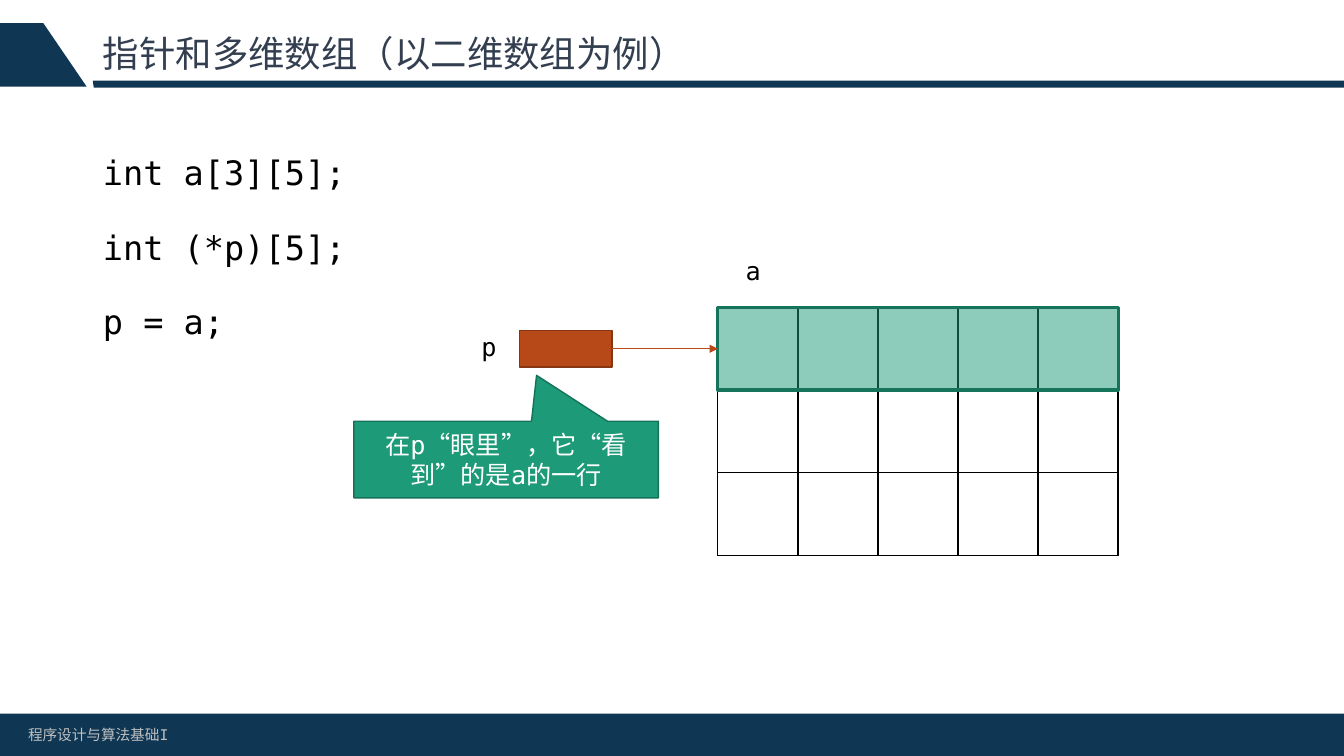
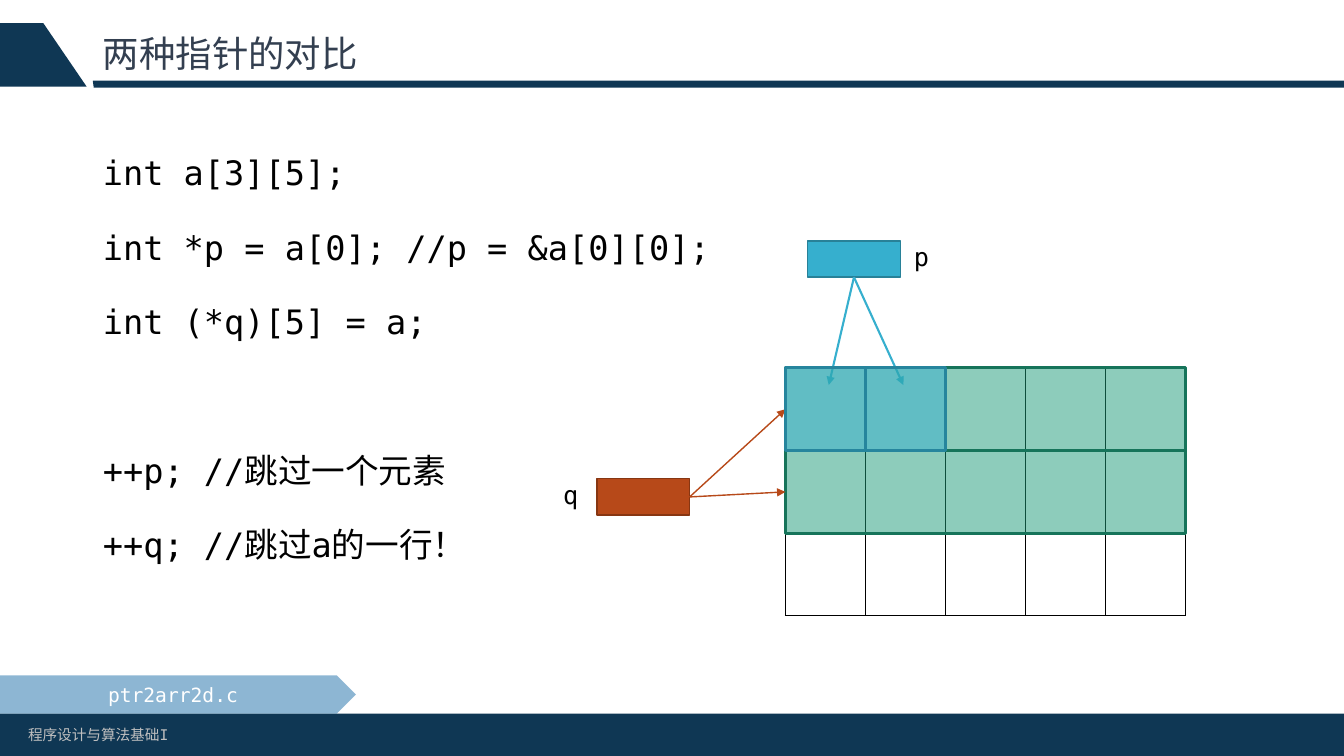
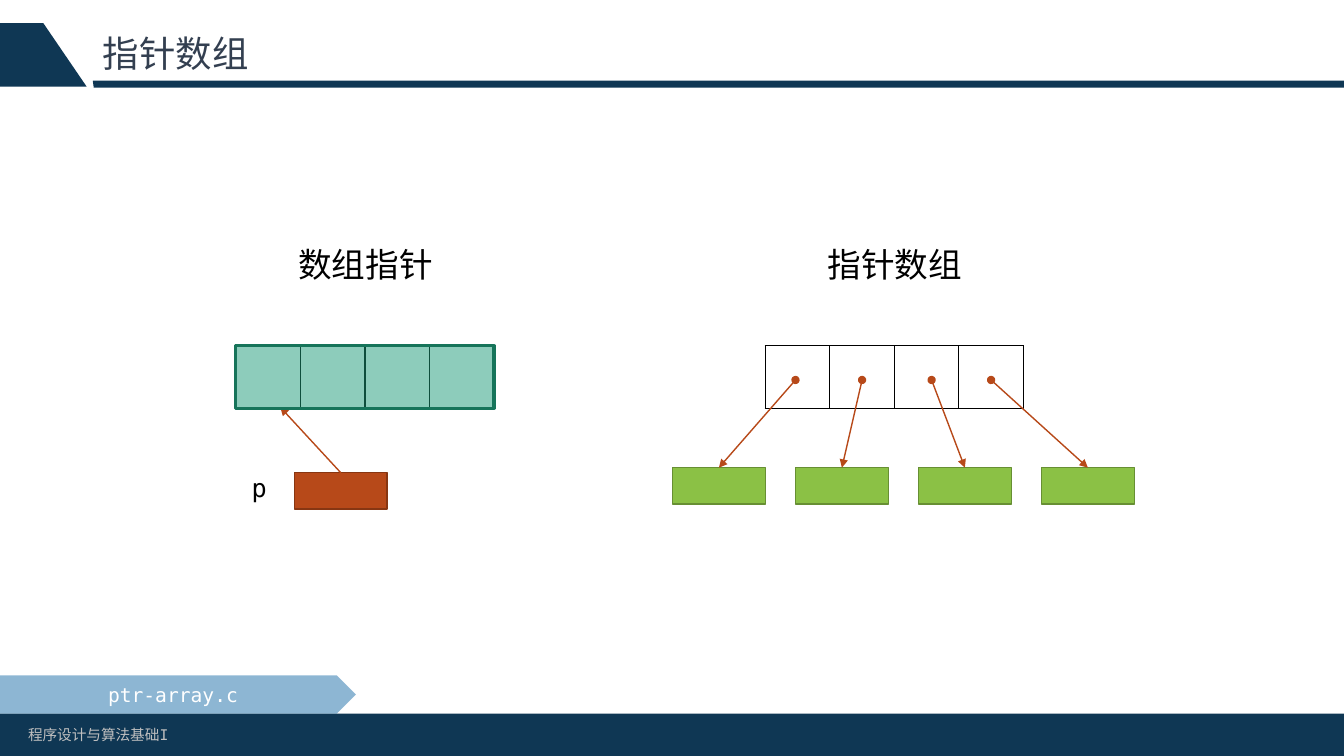
"""Three slides on pointers and two-dimensional arrays in C."""
from lxml import etree
from pptx import Presentation, util as u
from pptx.dml.color import RGBColor
from pptx.enum import lang, shapes, text
from pptx.oxml import ns

WIDE, HIGH = 13.33, 7.5
EDGE = 0.92
FONT = "DejaVu Sans Mono"
HUE = {
    "navy": "0F3754", "title": "333F50", "grey": "BFBFBF", "black": "000000", "white": "FFFFFF",
    "rust": "B74919", "umber": "873612", "teal": "1D9A78", "pine": "16745A", "moss": "157259",
    "sky": "36AFCE", "sea": "288198", "deep": "26859D", "lime": "8BC141", "olive": "678F33",
    "blue": "1D6FA9",
}
HUE["lime"] = "8BC145"
FOOT = "程序设计与算法基础I"
PAGES = [
    ("指针和多维数组（以二维数组为例）", ["int a[3][5];", "int (*p)[5];", "p = a;"], None),
    ("两种指针的对比",
     ["int a[3][5];", "int *p = a[0]; //p = &a[0][0];", "int (*q)[5] = a;",
      "++p; //跳过一个元素", "++q; //跳过a的一行！"], "ptr2arr2d.c"),
    ("指针数组", [], "ptr-array.c"),
]
GAPS = {"++p; //跳过一个元素": 63}
NOTE = "在p“眼里”，它“看到”的是a的一行"
HEADS = ["数组指针", "指针数组"]
DOTS = [7.89, 8.55, 9.24, 9.83]
CELL_W, CELL_H = 0.794, 0.82
SLOT_W, SLOT_H = 0.64, 0.62
BOX_W, BOX_H = 0.92, 0.36
LEFT, MID = text.PP_ALIGN.LEFT, text.PP_ALIGN.CENTER
RECT = shapes.MSO_SHAPE.RECTANGLE


def inch(*nums):
    return [u.Inches(n) for n in nums]


def tint(fill, hue, alpha=None):
    fill.solid()
    fill.fore_color.rgb = RGBColor.from_string(HUE[hue])
    if alpha:
        clr = next(fill._xPr.iter(ns.qn("a:srgbClr")))
        etree.SubElement(clr, ns.qn("a:alpha")).set("val", str(alpha * 1000))


def write(para, words, size, hue, align=LEFT):
    para.alignment = align
    run = para.add_run()
    run.text = words
    run.font.name, run.font.size = FONT, u.Pt(size)
    run.font.language_id = lang.MSO_LANGUAGE_ID.SIMPLIFIED_CHINESE
    run.font.color.rgb = RGBColor.from_string(HUE[hue])


def style(shape, fill, line=None, width=1, alpha=None):
    shape.shadow.inherit = False
    tint(shape.fill, fill, alpha)
    if line:
        tint(shape.line.fill, line)
        shape.line.width = u.Pt(width)
    else:
        shape.line.fill.background()
    return shape


def block(slide, at, fill, line=None, width=1, alpha=None, kind=RECT):
    return style(slide.shapes.add_shape(kind, *inch(*at)), fill, line, width, alpha)


def box(slide, left, top, fill="rust", line="umber"):
    return block(slide, (left, top, BOX_W, BOX_H), fill, line)


def band(slide, at, fill="teal", line="pine"):
    return block(slide, at, fill, line, 2.25, 50)


def label(slide, words, at, size=18, hue="black", align=MID):
    frame = slide.shapes.add_textbox(*inch(*at)).text_frame
    frame.word_wrap = True
    write(frame.paragraphs[0], words, size, hue, align)


def inside(shape, words, size):
    shape.text_frame.word_wrap = True
    shape.text_frame.vertical_anchor = text.MSO_ANCHOR.MIDDLE
    write(shape.text_frame.paragraphs[0], words, size, "white", MID)


def link(slide, start, end, hue="rust", width=1, head=None):
    """Draw an arrow; each end is a point or a (shape, side) pair."""
    points = [p if isinstance(p[0], (int, float)) else (0, 0) for p in (start, end)]
    wire = slide.shapes.add_connector(
        shapes.MSO_CONNECTOR.STRAIGHT, *inch(*points[0], *points[1]))
    for place, join in ((start, wire.begin_connect), (end, wire.end_connect)):
        if not isinstance(place[0], (int, float)):
            join(*place)
    tint(wire.line.fill, hue)
    wire.line.width = u.Pt(width)
    line = wire.line._get_or_add_ln()
    for tag, tip in (("a:headEnd", head), ("a:tailEnd", "triangle")):
        if tip:
            etree.SubElement(line, ns.qn(tag)).set("type", tip)
    etree.SubElement(wire._element.spPr, ns.qn("a:effectLst"))


def grid(slide, left, top, cols, rows, wide, high):
    table = slide.shapes.add_table(
        rows, cols, *inch(left, top, cols * wide, rows * high)).table
    table.first_row = table.horz_banding = False
    for cell in table.iter_cells():
        cell.fill.background()
        props = cell._tc.get_or_add_tcPr()
        for spot, side in enumerate(("lnL", "lnR", "lnT", "lnB")):
            line = etree.Element(ns.qn("a:" + side), w="12700")
            fill = etree.SubElement(line, ns.qn("a:solidFill"))
            etree.SubElement(fill, ns.qn("a:srgbClr"), val=HUE["black"])
            props.insert(spot, line)


def free(slide, points):
    first, *rest = [inch(*p) for p in points]
    pen = slide.shapes.build_freeform(*first, scale=1.0)
    pen.add_line_segments(rest, close=True)
    style(pen.convert_to_shape(), "navy")


def setup(deck, layout):
    """Give the layout its bands, footer and placeholder places."""
    for hold in list(layout.placeholders)[2:]:
        hold.element.getparent().remove(hold.element)
    places = [(EDGE, 0.23, 11.5, 0.64), (EDGE, 1.26, 11.5, 5.43)]
    for hold, at in zip(layout.placeholders, places):
        hold.left, hold.top, hold.width, hold.height = inch(*at)
    slide = deck.slides.add_slide(layout)
    free(slide, [(EDGE, 0.8), (WIDE, 0.8), (WIDE, 0.87), (0.93, 0.87)])
    free(slide, [(0.43, 0.23), (0.86, 0.86), (0, 0.86), (0, 0.23)])
    block(slide, (0, 7.08, WIDE, HIGH - 7.08), "navy")
    label(slide, FOOT, (0.18, 7.15, 4.32, 0.29), 10.5, "grey", LEFT)
    tree = layout.element.cSld.spTree
    for spot, part in enumerate(list(slide.shapes)[2:], 2):
        tree.insert(spot, part.element)
    return slide


def fill(slide, title, code, name):
    head, body = slide.placeholders
    head.text_frame.vertical_anchor = text.MSO_ANCHOR.MIDDLE
    head.text_frame.auto_size = text.MSO_AUTO_SIZE.NONE
    write(head.text_frame.paragraphs[0], title, 26, "title")
    head.text_frame.paragraphs[0].line_spacing = 0.9
    if code:
        frame = body.text_frame
        frame.auto_size = text.MSO_AUTO_SIZE.NONE
        for row, words in enumerate(code):
            para = frame.add_paragraph() if row else frame.paragraphs[0]
            props = para._p.get_or_add_pPr()
            props.set("marL", "0")
            props.set("indent", "0")
            etree.SubElement(props, ns.qn("a:buNone"))
            para.line_spacing = 1.5
            para.space_before = u.Pt(GAPS.get(words, 10) if row else 0)
            write(para, words, 24, "black", text.PP_ALIGN.JUSTIFY)
    else:
        body.element.getparent().remove(body.element)
    if name:
        tag = block(slide, (0, 6.7, 3.53, 0.38), "blue", alpha=50,
                    kind=shapes.MSO_SHAPE.PENTAGON)
        inside(tag, name, 14)


def rows(slide):
    left, top = 7.12, 3.05
    grid(slide, left, top, 5, 3, CELL_W, CELL_H)
    ptr = box(slide, 5.15, 3.28)
    label(slide, "p", (4.5, 3.24, 0.7, 0.4))
    row = band(slide, (left, top, 5 * CELL_W, CELL_H))
    link(slide, (ptr, 3), (row, 1))
    label(slide, "a", (left, 2.48, 0.7, 0.4))
    note = block(slide, (3.51, 4.18, 3.02, 0.76), "teal", "moss",
                 kind=shapes.MSO_SHAPE.RECTANGULAR_CALLOUT)
    note.adjustments[0], note.adjustments[1] = 0.1, -1.1
    inside(note, NOTE, 18)


def steps(slide):
    left, top = 7.79, 3.65
    grid(slide, left, top, 5, 3, CELL_W, CELL_H)
    one = box(slide, 8.01, 2.39, "sky", "sea")
    label(slide, "p", (8.79, 2.34, 0.7, 0.4))
    for x in (8.22, 8.96):
        link(slide, (one, 2), (x, 3.82), "sky", 1.5)
    two = box(slide, 5.92, 4.75)
    label(slide, "q", (5.31, 4.71, 0.7, 0.4))
    for row in range(2):
        line = band(slide, (left, top + row * CELL_H, 5 * CELL_W, CELL_H))
        link(slide, (two, 3), (line, 1))
    for col in range(2):
        band(slide, (left + col * CELL_W, top, CELL_W, CELL_H), "sky", "deep")


def pairs(slide):
    top, lefts = 3.43, (2.34, 7.59)
    for left, words in zip(lefts, HEADS):
        grid(slide, left, top, 4, 1, SLOT_W, SLOT_H)
        label(slide, words, (left - 0.11, 2.37, 2.79, 0.5), 24)
    ptr = box(slide, 2.92, 4.69)
    link(slide, (ptr, 0), (2.78, 4.04))
    label(slide, "p", (2.22, 4.64, 0.7, 0.4))
    band(slide, (lefts[0], top, 4 * SLOT_W, SLOT_H))
    for col, x in enumerate(DOTS):
        goal = box(slide, 6.67 + col * 1.22, 4.64, "lime", "olive")
        link(slide, (x, 3.77), (goal, 0), head="oval")


def main():
    deck = Presentation()
    deck.slide_width, deck.slide_height = inch(WIDE, HIGH)
    layout = deck.slide_layouts[1]
    slide = setup(deck, layout)
    for page, draw in zip(PAGES, (rows, steps, pairs)):
        slide = slide or deck.slides.add_slide(layout)
        fill(slide, *page)
        draw(slide)
        slide = None
    deck.save("out.pptx")


if __name__ == "__main__":
    main()
